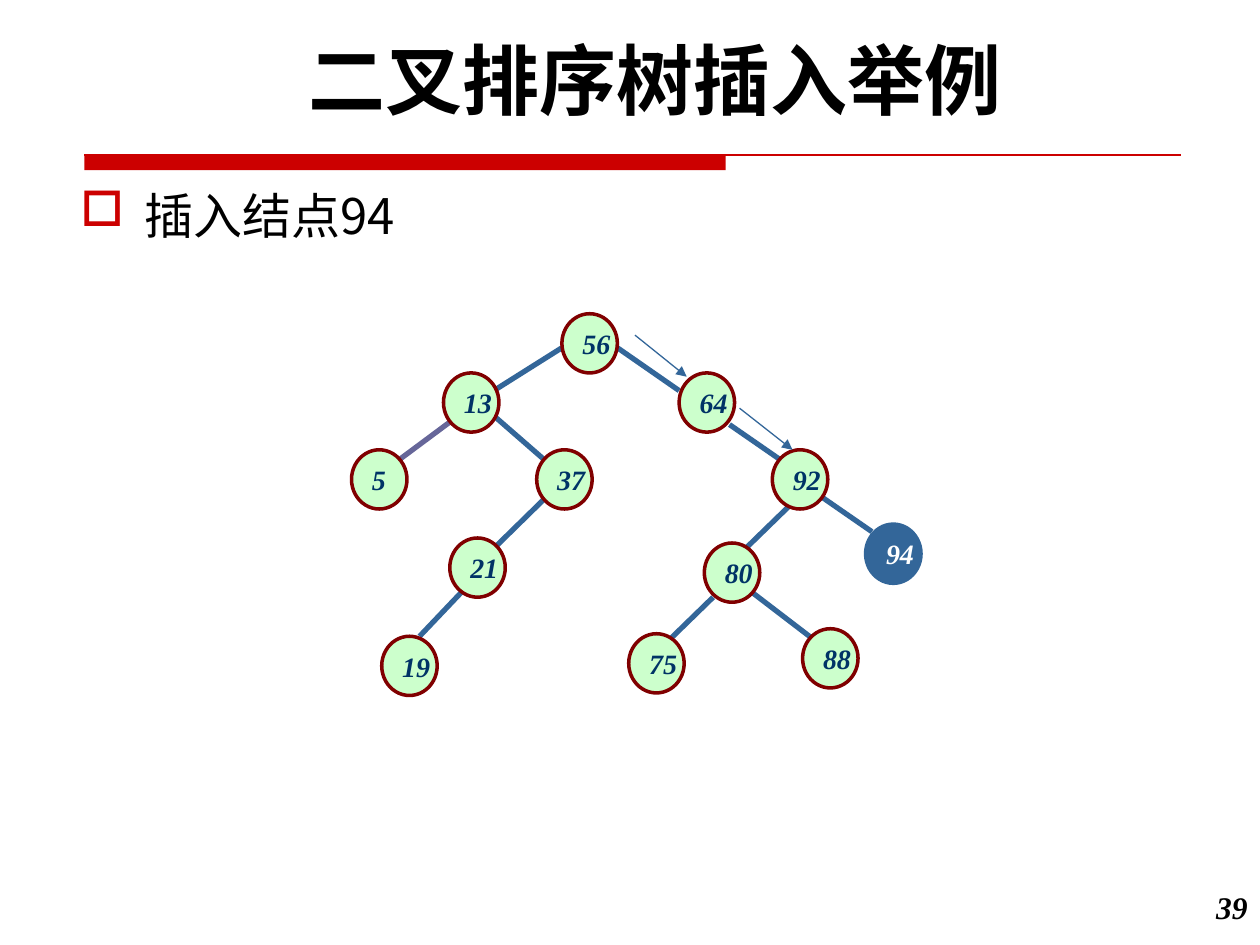
import pptx
import pptx.util
import pptx.dml.color
import pptx.enum.shapes
import pptx.enum.text
import pptx.oxml.ns
from lxml import etree

Inches, Pt = pptx.util.Inches, pptx.util.Pt
RGBColor = pptx.dml.color.RGBColor
MSO_SHAPE = pptx.enum.shapes.MSO_SHAPE
PP_ALIGN = pptx.enum.text.PP_ALIGN
MSO_ANCHOR = pptx.enum.text.MSO_ANCHOR
qn = pptx.oxml.ns.qn

BLACK = RGBColor(0x00, 0x00, 0x00)
WHITE = RGBColor(0xFF, 0xFF, 0xFF)
RED = RGBColor(0xCC, 0x00, 0x00)
MAROON = RGBColor(0x80, 0x00, 0x00)
MINT = RGBColor(0xCC, 0xFF, 0xCC)
NAVY = RGBColor(0x00, 0x33, 0x66)
BLUE = RGBColor(0x33, 0x66, 0x99)
VIOLET = RGBColor(0x66, 0x66, 0x99)
SERIF = "Times New Roman"


def write(s, text, size, font, color=BLACK, bold=False, italic=False,
          align=PP_ALIGN.LEFT, anchor=MSO_ANCHOR.TOP, wrap=True, bullet=None):
    tf = s.text_frame
    tf.word_wrap = wrap
    tf.vertical_anchor = anchor
    p = tf.paragraphs[0]
    p.alignment = align
    if bullet:
        pPr = p._p.get_or_add_pPr()
        pPr.set("marL", str(Inches(0.51)))
        pPr.set("indent", str(-Inches(0.51)))
        clr = etree.SubElement(pPr, qn("a:buClr"))
        etree.SubElement(clr, qn("a:srgbClr"), val=str(RED))
        etree.SubElement(pPr, qn("a:buFont"), typeface="Wingdings", charset="2")
        etree.SubElement(pPr, qn("a:buChar"), char=bullet)
    r = p.add_run()
    r.text = text
    r.font.size = Pt(size)
    r.font.name = font
    r.font.bold = bold
    r.font.italic = italic
    r.font.color.rgb = color
    etree.SubElement(r._r.get_or_add_rPr(), qn("a:ea"), typeface=font)


def add_line(x1, y1, x2, y2, color=BLUE, width=3, arrow=False):
    s = slide.shapes.add_connector(
        pptx.enum.shapes.MSO_CONNECTOR.STRAIGHT,
        Inches(x1), Inches(y1), Inches(x2), Inches(y2))
    s.line.color.rgb = color
    s.line.width = Pt(width)
    if arrow:
        etree.SubElement(s.line._get_or_add_ln(), qn("a:tailEnd"), type="triangle")
    etree.SubElement(s._element.spPr, qn("a:effectLst"))


prs = pptx.Presentation()
prs.slide_width, prs.slide_height = Inches(10), Inches(7.5)
slide = prs.slides.add_slide(prs.slide_layouts[5])

# Title
s = slide.shapes.title
s.left, s.top, s.width, s.height = Inches(0.58), Inches(0.21), Inches(9.25), Inches(0.84)
write(s, "二叉排序树插入举例", 44, "Roboto", bold=True, align=PP_ALIGN.CENTER)

# Rule under the title: thick bar and thin line
s = slide.shapes.add_shape(MSO_SHAPE.RECTANGLE, Inches(0.67), Inches(1.23), Inches(5.09), Inches(0.12))
s.shadow.inherit = False
s.fill.solid()
s.fill.fore_color.rgb = RED
s.line.fill.background()
add_line(0.67, 1.23, 9.37, 1.23, RED, 0.75)

# Bullet text and page number; "o" is a hollow square in Wingdings
s = slide.shapes.add_textbox(Inches(0.54), Inches(1.42), Inches(9.58), Inches(4.42))
write(s, "插入结点94", 28, "Noto Sans CJK SC", bullet="o")
s = slide.shapes.add_textbox(Inches(9.33), Inches(7), Inches(0.67), Inches(0.5))
write(s, "39", 18, SERIF, bold=True, italic=True, align=PP_ALIGN.RIGHT)

# Tree edges, parent to child, behind the nodes
edges = [
    (4.46, 2.76, 3.92, 3.1), (4.9, 2.76, 5.39, 3.1),
    (3.92, 3.3, 4.31, 3.64), (5.79, 3.37, 6.18, 3.64),
    (4.31, 3.97, 3.83, 4.44), (6.26, 4.02, 5.89, 4.38), (6.53, 3.95, 6.92, 4.22),
    (3.72, 4.64, 3.33, 5.05), (5.66, 4.74, 5.29, 5.1), (5.98, 4.71, 6.45, 5.07),
]
for edge in edges:
    add_line(*edge)
add_line(3.57, 3.35, 3.18, 3.64, VIOLET)

# Tree nodes: key, left, top
INSERTED = 94
nodes = [
    (56, 4.46, 2.49),
    (13, 3.52, 2.96), (64, 5.39, 2.96),
    (5, 2.79, 3.57), (37, 4.26, 3.57), (92, 6.13, 3.57),
    (21, 3.57, 4.27), (80, 5.59, 4.31), (INSERTED, 6.87, 4.16),
    (19, 3.03, 5.05), (75, 4.99, 5.03), (88, 6.37, 4.99),
]
for key, x, y in nodes:
    new = key == INSERTED
    s = slide.shapes.add_shape(MSO_SHAPE.OVAL, Inches(x), Inches(y), Inches(0.44), Inches(0.47))
    s.shadow.inherit = False
    s.fill.solid()
    s.fill.fore_color.rgb = BLUE if new else MINT
    s.line.color.rgb = BLUE if new else MAROON
    s.line.width = Pt(2)
    write(s, str(key), 16, SERIF, WHITE if new else NAVY, bold=True, italic=True,
          anchor=MSO_ANCHOR.MIDDLE, wrap=False)

# Search path arrows
for step in [(5.04, 2.66, 5.45, 2.99), (5.87, 3.24, 6.29, 3.57)]:
    add_line(*step, width=0.75, arrow=True)

prs.save("out.pptx")
